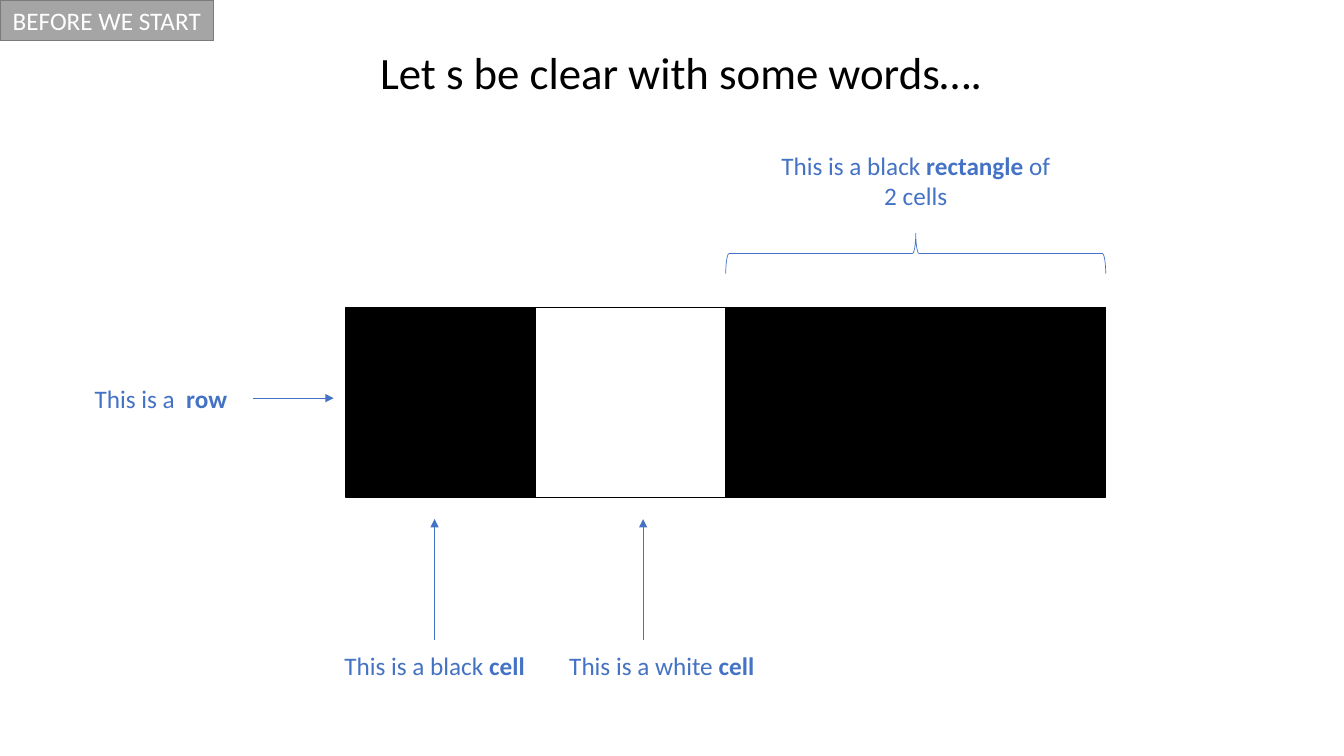
from dataclasses import dataclass
from lxml import etree
from pptx import Presentation, util as u
from pptx.dml.color import RGBColor as Rgb
from pptx.enum import shapes as sh, text as tx
from pptx.oxml.ns import qn


@dataclass(frozen=True)
class Theme:
    font: str = "Calibri"
    black: str = "000000"
    white: str = "FFFFFF"
    blue: str = "4472C4"
    gray: str = "A5A5A5"
    edge: str = "7A7A7A"
    body: float = 18
    head: float = 32
    thin: float = 0.5
    rule: float = 1


T = Theme()
SIDE = 135.7
MID = tx.PP_ALIGN.CENTER


def pts(*vals):
    return [u.Pt(v) for v in vals]


# Shared parts
def write(frame, runs, size, color, align=None):
    """Fill a frame with (words, bold) runs."""
    para = frame.paragraphs[0]
    para.alignment = align
    for words, bold in runs:
        run = para.add_run()
        run.text = words
        font = run.font
        font.name, font.size, font.bold = T.font, u.Pt(size), bold
        font.color.rgb = Rgb.from_string(color)


def label(slide, box, runs, size=T.body, color=T.blue, align=MID, wrap=True):
    frame = slide.shapes.add_textbox(*pts(*box)).text_frame
    frame.word_wrap = wrap
    write(frame, runs, size, color, align)


def form(slide, kind, box, fill, line, width):
    shape = slide.shapes.add_shape(kind, *pts(*box))
    shape.shadow.inherit = False
    if fill:
        shape.fill.solid()
        shape.fill.fore_color.rgb = Rgb.from_string(fill)
    else:
        shape.fill.background()
    shape.line.color.rgb = Rgb.from_string(line)
    shape.line.width = u.Pt(width)
    return shape


def arrow(slide, x1, y1, x2, y2):
    link = slide.shapes.add_connector(sh.MSO_CONNECTOR.STRAIGHT,
                                      *pts(x1, y1, x2, y2))
    link.line.color.rgb = Rgb.from_string(T.blue)
    link.line.width = u.Pt(T.thin)
    props = link.element.spPr
    etree.SubElement(props.find(qn("a:ln")), qn("a:tailEnd"), type="triangle")
    etree.SubElement(props, qn("a:effectLst"))


# Tag in the corner and title
def header(slide, x, y, w, h):
    label(slide, (x + 264.4, y + 28.1, 449.3, h),
          [("Let s be clear with some words….", False)],
          T.head, T.black, None, False)
    tag = form(slide, sh.MSO_SHAPE.RECTANGLE, (x, y, w, 29),
               T.gray, T.edge, T.rule)
    tag.text_frame.word_wrap = True
    write(tag.text_frame, [("BEFORE WE START", False)],
          T.body, T.white, MID)


# Row of square cells
def cells(slide, x, y, side):
    for i, fill in enumerate((T.black, T.white, T.black, T.black)):
        form(slide, sh.MSO_SHAPE.RECTANGLE, (x + i * side, y, side, side),
             fill, T.black, T.rule)


# Brace and caption over the last two cells
def pair(slide, x, y, side):
    deep, span = 28.8, 2 * side
    mid = x + 3 * side
    brace = form(slide, sh.MSO_SHAPE.LEFT_BRACE,
                 (mid - deep / 2, y - 38.5 - span / 2, deep, span),
                 None, T.blue, T.thin)
    brace.rotation = 90
    label(slide, (mid - 106.2, y - 115.9, 212.4, 51),
          [("This is a black ", False), ("rectangle", True),
           (" of 2 cells", False)])


# Captions with arrows, below and left of the row
def notes(slide, x, y, side):
    base = y + side
    for color, tip, left, wide in (("white", 212.4, 140.4, 170.6),
                                   ("black", 63.4, -8.6, 144)):
        arrow(slide, x + tip, base + 101.9, x + tip, base + 15.5)
        label(slide, (x + left, base + 105.5, wide, 29),
              [(f"This is a {color} ", False), ("cell", True)])
    arrow(slide, x - 66.3, y + 64.8, x - 8.7, y + 64.8)
    label(slide, (x - 190.8, y + 50.4, 117.4, 29),
          [("This is a  ", False), ("row", True)])


def main():
    deck = Presentation()
    deck.slide_width, deck.slide_height = pts(960, 540)
    slide = deck.slides.add_slide(deck.slide_layouts[6])
    row = (247, 219.6, SIDE)
    cells(slide, *row)
    pair(slide, *row)
    notes(slide, *row)
    header(slide, 0, 0, 152.6, 46)
    deck.save("out.pptx")


if __name__ == "__main__":
    main()
